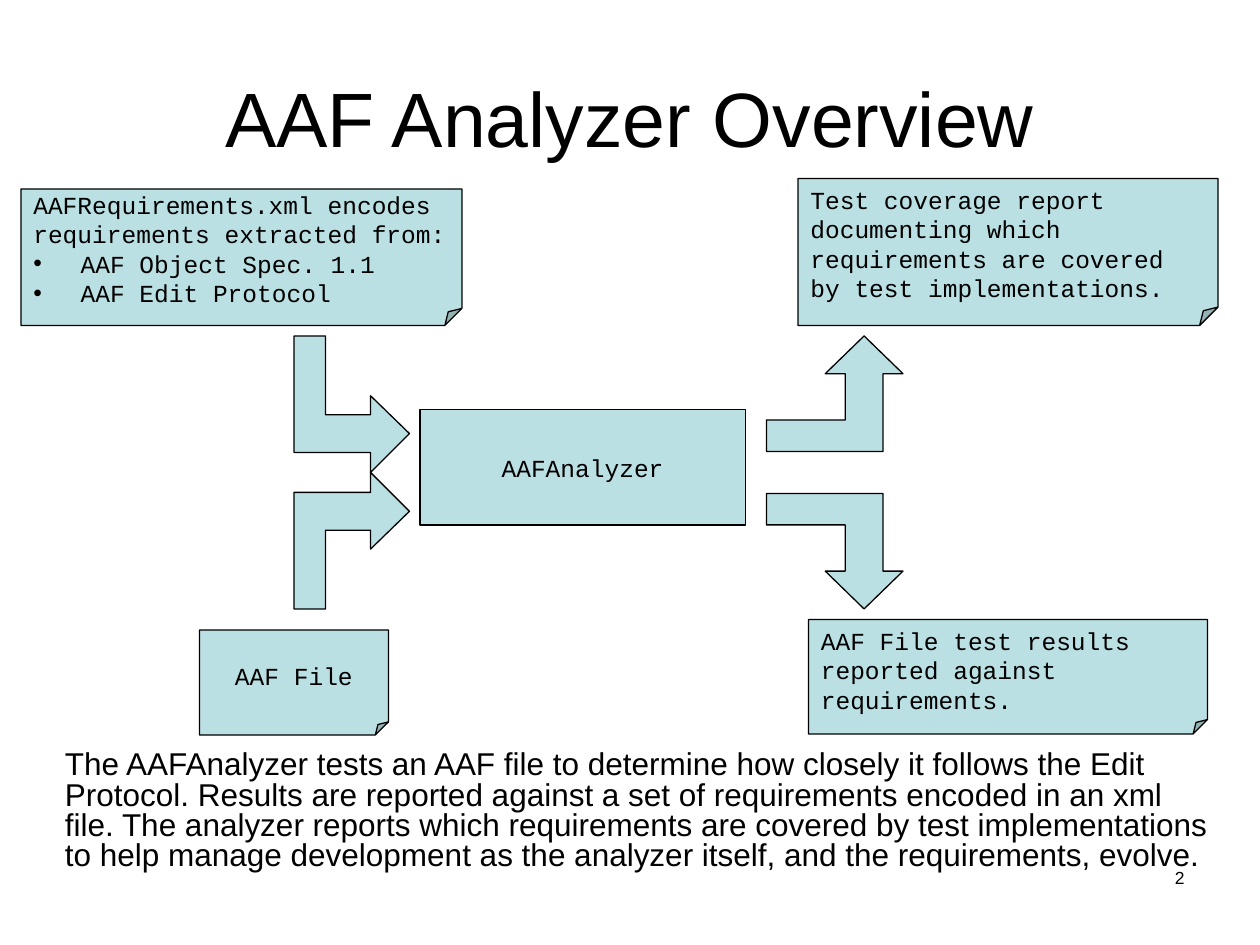
import pptx
import pptx.util
import pptx.dml.color
import pptx.enum.shapes
import pptx.enum.text
import pptx.oxml.ns
import lxml.etree
from dataclasses import dataclass


@dataclass
class Theme:
    fill: str = "BBE0E3"
    ink: str = "000000"
    sans: str = "Arial"
    mono: str = "Courier New"
    title: int = 44
    body: int = 18
    label: int = 14
    number: int = 10
    line: float = 0.75


theme = Theme()
rgb = pptx.dml.color.RGBColor.from_string
qn = pptx.oxml.ns.qn
PP_ALIGN = pptx.enum.text.PP_ALIGN
ANCHOR = pptx.enum.text.MSO_ANCHOR
SHAPE = pptx.enum.shapes.MSO_SHAPE

prs = pptx.Presentation()
prs.slide_width = pptx.util.Inches(10)
prs.slide_height = pptx.util.Inches(7.5)
s = prs.slides.add_slide(prs.slide_layouts[6])

# Grid of 120 columns by 90 rows
cell = prs.slide_width // 120
mid_row = 45


def paint(sp):
    sp.shadow.inherit = False
    sp.fill.solid()
    sp.fill.fore_color.rgb = rgb(theme.fill)
    sp.line.color.rgb = rgb(theme.ink)
    sp.line.width = pptx.util.Pt(theme.line)


def write(sp, text, font, size, align, anchor):
    tf = sp.text_frame
    tf.word_wrap = True
    tf.vertical_anchor = anchor
    tf.text = text
    for p in tf.paragraphs:
        p.alignment = align
        for r in p.runs:
            r.font.name = font
            r.font.size = pptx.util.Pt(size)
            r.font.color.rgb = rgb(theme.ink)
    return tf


# Title, description and slide number
texts = [
    ("AAF Analyzer Overview", (6, 3.6, 108, 15), theme.title, PP_ALIGN.CENTER, ANCHOR.MIDDLE),
    ("The AAFAnalyzer tests an AAF file to determine how closely it follows the Edit "
     "Protocol. Results are reported against a set of requirements encoded in an xml "
     "file. The analyzer reports which requirements are covered by test implementations "
     "to help manage development as the analyzer itself, and the requirements, evolve.",
     (5, 71, 112, 16.3), theme.body, PP_ALIGN.LEFT, ANCHOR.TOP),
    ("2", (86, 82, 28, 6.2), theme.number, PP_ALIGN.RIGHT, ANCHOR.TOP),
]
for text, box, size, align, anchor in texts:
    sp = s.shapes.add_textbox(*[round(v * cell) for v in box])
    tf = write(sp, text, theme.sans, size, align, anchor)
    if size == theme.body:
        tf.paragraphs[0].line_spacing = 0.8
        tf.paragraphs[0].space_before = pptx.util.Pt(4.5)

# Block arrows: (column, rows from the middle), each mirrored below it
arrow_in = [(31, 13), (31, 5.5), (35.3, 5.5), (35.3, 7.3), (39, 3.7),
            (35.3, 0), (35.3, 1.9), (28, 1.9), (28, 13)]
arrow_out = [(73, 5), (80.5, 5), (80.5, 9.4), (78.6, 9.4), (82.3, 13),
             (86, 9.4), (84.1, 9.4), (84.1, 2), (73, 2)]
for outline in (arrow_in, arrow_out):
    for side in (-1, 1):
        points = [(round(x * cell), round((mid_row + side * y) * cell)) for x, y in outline]
        builder = s.shapes.build_freeform(*points[0])
        builder.add_line_segments(points[1:], close=True)
        paint(builder.convert_to_shape())

# Analyzer box and document notes
requirements = ("AAFRequirements.xml encodes\nrequirements extracted from:\n"
                "AAF Object Spec. 1.1\nAAF Edit Protocol")
coverage = ("Test coverage report documenting which requirements are covered "
            "by test implementations.")
results = "AAF File test results reported against requirements."
boxes = [
    (SHAPE.FLOWCHART_PROCESS, "AAFAnalyzer", (40, 39, 31, 11), PP_ALIGN.CENTER, ANCHOR.MIDDLE),
    (SHAPE.FOLDED_CORNER, requirements, (2, 18, 42, 13), PP_ALIGN.LEFT, ANCHOR.MIDDLE),
    (SHAPE.FOLDED_CORNER, "AAF File", (19, 60, 18, 10), PP_ALIGN.CENTER, ANCHOR.MIDDLE),
    (SHAPE.FOLDED_CORNER, results, (77, 59, 38, 10.9), PP_ALIGN.LEFT, ANCHOR.TOP),
    (SHAPE.FOLDED_CORNER, coverage, (76, 17, 40, 14), PP_ALIGN.LEFT, ANCHOR.TOP),
]
for kind, text, box, align, anchor in boxes:
    sp = s.shapes.add_shape(kind, *[round(v * cell) for v in box])
    paint(sp)
    # Fold of one eighth
    if kind == SHAPE.FOLDED_CORNER:
        guides = next(sp._element.iter(qn("a:avLst")))
        lxml.etree.SubElement(guides, qn("a:gd"), name="adj", fmla="val 12500")
    tf = write(sp, text, theme.mono, theme.label, align, anchor)
    # Bullets on the listed sources
    for p in tf.paragraphs[2:]:
        pPr = p._p.get_or_add_pPr()
        pPr.set("marL", str(round(4.5 * cell)))
        pPr.set("indent", str(round(-4.5 * cell)))
        lxml.etree.SubElement(pPr, qn("a:buFont")).set("typeface", theme.sans)
        lxml.etree.SubElement(pPr, qn("a:buChar")).set("char", "•")

prs.save("out.pptx")
